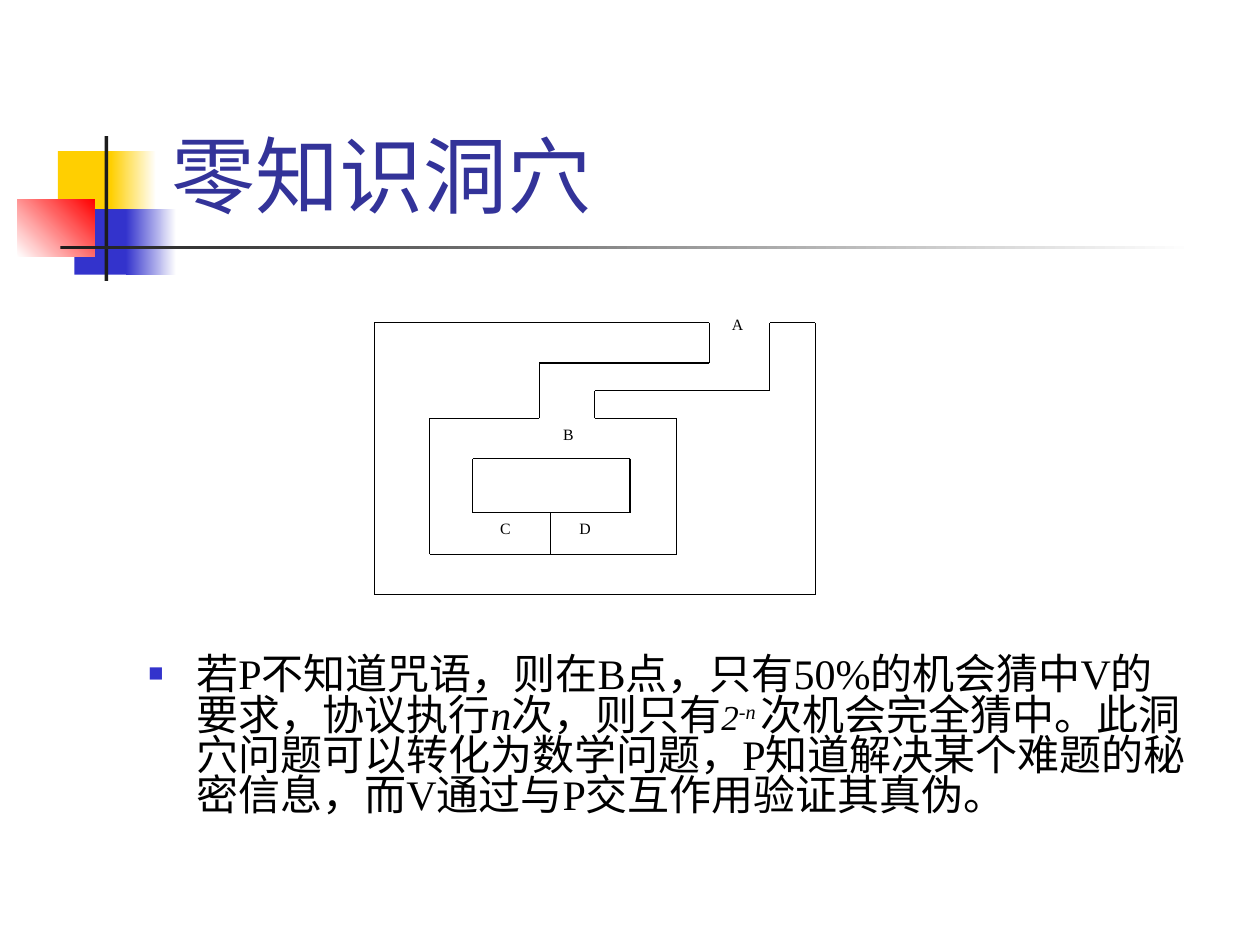
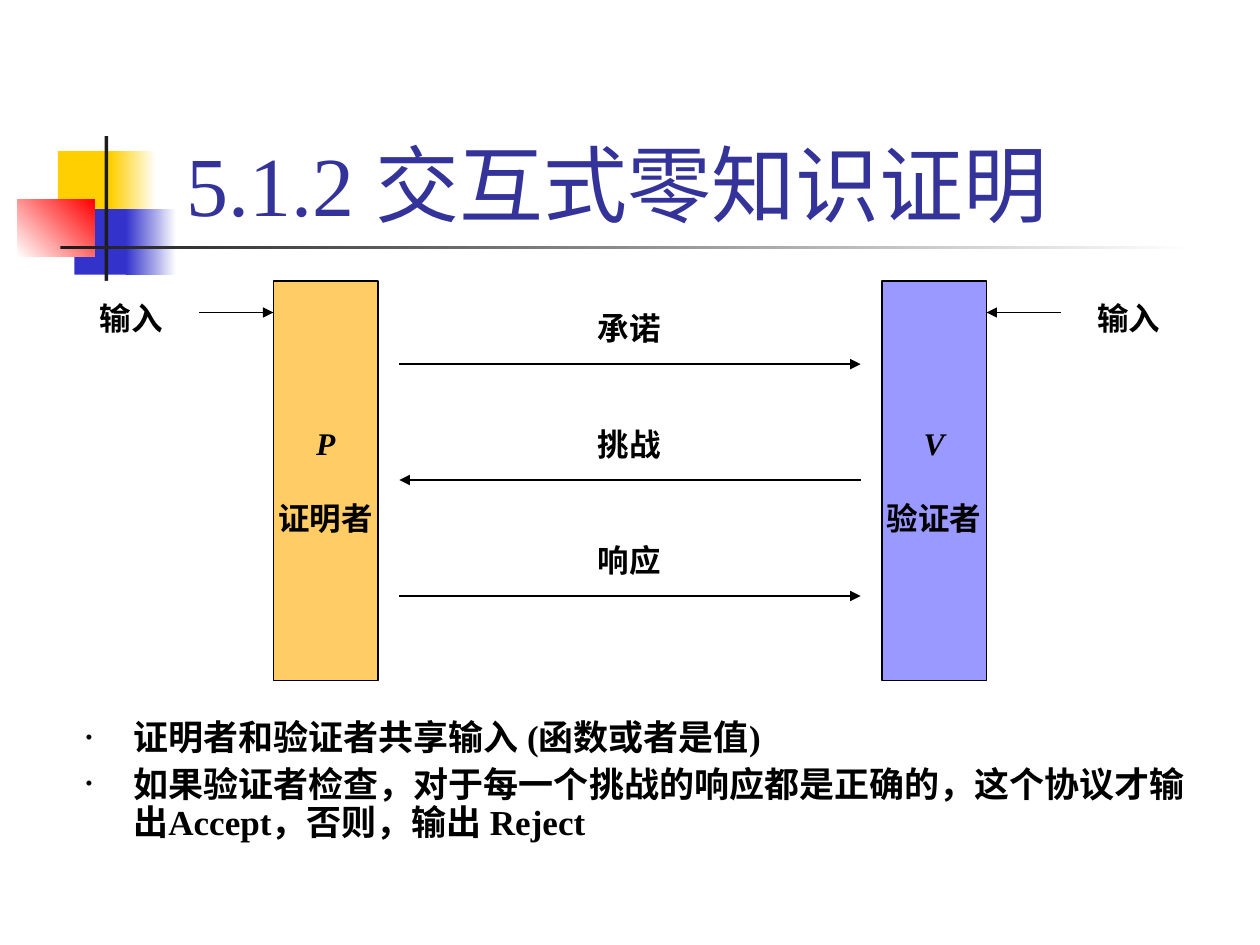
from dataclasses import dataclass
from itertools import pairwise

from lxml import etree
from pptx import Presentation
from pptx.dml.color import RGBColor
from pptx.enum.shapes import MSO_CONNECTOR, MSO_SHAPE
from pptx.enum.text import MSO_ANCHOR, PP_ALIGN
from pptx.oxml.ns import qn
from pptx.util import Emu, Pt

RECTANGLE = MSO_SHAPE.RECTANGLE
STRAIGHT = MSO_CONNECTOR.STRAIGHT
TOP, MIDDLE, BOTTOM = MSO_ANCHOR.TOP, MSO_ANCHOR.MIDDLE, MSO_ANCHOR.BOTTOM
CENTER, JUSTIFY = PP_ALIGN.CENTER, PP_ALIGN.JUSTIFY

EMU_PER_PX = 9144  # 100 px to the inch


@dataclass(frozen=True)
class Theme:
    white: str = "FFFFFF"
    ink: str = "000000"
    title: str = "333399"
    yellow: str = "FFCF01"
    blue: str = "3333CC"
    red: str = "FF0000"
    rule: str = "1C1C1C"
    prover: str = "FFCC66"
    verifier: str = "9999FF"
    title_font: str = "Karla"
    body_font: str = "Times New Roman"
    title_size: int = 48
    body_size: int = 24
    power_size: int = 20
    rules_size: int = 20
    label_size: int = 18
    mark_size: int = 9
    line_width: float = 0.75


THEME = Theme()


def px(length):
    return Emu(length * EMU_PER_PX)


def rgb(code):
    return RGBColor.from_string(code)


def style_run(run, size, color=THEME.ink, font=THEME.body_font, bold=False, italic=False):
    run.font.size = Pt(size)
    run.font.name = font
    run.font.color.rgb = rgb(color)
    run.font.bold = bold
    run.font.italic = italic


def add_box(shapes, box, fill=None, line=None):
    """Rectangle with a plain fill, a (start, end, angle) gradient, or none."""
    rect = shapes.add_shape(RECTANGLE, *map(px, box))
    rect.shadow.inherit = False
    if fill is None:
        rect.fill.background()
    elif isinstance(fill, str):
        rect.fill.solid()
        rect.fill.fore_color.rgb = rgb(fill)
    else:
        *ends, angle = fill
        rect.fill.gradient()
        rect.fill.gradient_angle = angle
        for stop, color in zip(rect.fill.gradient_stops, ends):
            stop.color.rgb = rgb(color)
    if line:
        rect.line.color.rgb = rgb(line)
        rect.line.width = Pt(THEME.line_width)
    else:
        rect.line.fill.background()
    return rect


def add_line(shapes, start, end, arrow=False):
    line = shapes.add_connector(STRAIGHT, *map(px, (*start, *end)))
    line.line.color.rgb = rgb(THEME.ink)
    line.line.width = Pt(THEME.line_width)
    properties = line.element.spPr
    if arrow:
        etree.SubElement(properties.find(qn("a:ln")), qn("a:tailEnd"), type="triangle")
    etree.SubElement(properties, qn("a:effectLst"))


def add_label(shapes, box, text, fill=THEME.white):
    label = add_box(shapes, box, fill)
    frame = label.text_frame
    frame.word_wrap = False
    frame.vertical_anchor = MIDDLE
    frame.text = text
    for paragraph in frame.paragraphs:
        paragraph.alignment = CENTER
        style_run(paragraph.runs[0], THEME.label_size, bold=True)
    return label


def add_text_area(slide, box):
    frame = slide.shapes.add_textbox(*map(px, box)).text_frame
    frame.word_wrap = True
    return frame


def add_title(slide, box, text, font, anchor):
    frame = add_text_area(slide, box)
    frame.vertical_anchor = anchor
    frame.text = text
    style_run(frame.paragraphs[0].runs[0], THEME.title_size, THEME.title, font)


def set_bullet(paragraph, mark, color, line_spacing, space_before):
    paragraph.line_spacing = line_spacing
    paragraph.space_before = Pt(space_before)
    properties = paragraph._p.get_or_add_pPr()
    properties.set("marL", str(px(38)))
    properties.set("indent", str(-px(38)))
    bullet_color = etree.SubElement(properties, qn("a:buClr"))
    etree.SubElement(bullet_color, qn("a:srgbClr"), val=color)
    etree.SubElement(properties, qn("a:buSzPct"), val="60000")
    etree.SubElement(properties, qn("a:buFont"), typeface=THEME.body_font)
    etree.SubElement(properties, qn("a:buChar"), char=mark)


def add_slide(deck):
    """Blank slide with the coloured squares and crossing rules."""
    slide = deck.slides.add_slide(deck.slide_layouts[6])
    for box, fill in (
        ((46, 120, 48, 52), THEME.yellow),
        ((88, 120, 36, 52), (THEME.yellow, THEME.white, 0)),
        ((59, 166, 46, 52), THEME.blue),
        ((100, 166, 40, 52), (THEME.blue, THEME.white, 0)),
        ((14, 158, 61, 46), (THEME.white, THEME.red, 45)),
        ((83, 108, 3, 115), THEME.rule),
        ((48, 195, 900, 3), (THEME.rule, THEME.white, 0)),
    ):
        add_box(slide.shapes, box, fill)
    return slide


def draw_cave(slide, box):
    left, top, width, height = box
    cave = slide.shapes.add_group_shape().shapes
    for mark, x, y in (("A", 274, -11), ("B", 140, 76), ("C", 90, 151), ("D", 153, 151)):
        place = add_box(cave, (left + x, top + y, 29, 29), line=THEME.white)
        frame = place.text_frame
        frame.vertical_anchor = TOP
        frame.text = mark
        frame.paragraphs[0].alignment = JUSTIFY
        style_run(frame.paragraphs[0].runs[0], THEME.mark_size)

    outer_wall = [
        (0, height), (0, 0), (266, 0), (266, 32), (131, 32), (131, 76),
        (44, 76), (44, 184), (240, 184), (240, 76), (175, 76), (175, 54),
        (314, 54), (314, 0), (width, 0), (width, height), (0, height),
    ]
    inner_wall = [(78, 108), (203, 108), (203, 151), (78, 151), (78, 108)]
    door = [(140, 151), (140, 184)]
    for wall in (outer_wall, inner_wall, door):
        corners = [(left + x, top + y) for x, y in wall]
        for start, end in pairwise(corners):
            add_line(cave, start, end)


def write_cave_odds(slide, box):
    paragraph = add_text_area(slide, box).paragraphs[0]
    set_bullet(paragraph, "■", THEME.blue, 0.8, 6)
    for text, size, italic in (
        ("若P不知道咒语，则在B点，只有50%的机会猜中V的要求，协议执行", THEME.body_size, False),
        ("n", THEME.body_size, True),
        ("次，则只有", THEME.body_size, False),
        ("2", THEME.power_size, True),
        ("-n ", THEME.power_size, True),
        ("次机会完全猜中。此洞穴问题可以转化为数学问题，P知道解决某个难题的秘密信息，"
         "而V通过与P交互作用验证其真伪。", THEME.body_size, False),
    ):
        run = paragraph.add_run()
        run.text = text
        style_run(run, size, italic=italic)
    exponent = paragraph.runs[4]
    exponent.font._element.set("baseline", "30000")


def draw_party(slide, box, symbol, role, fill):
    party = add_label(slide.shapes, box, f"{symbol}\n{role}", fill)
    party.line.color.rgb = rgb(THEME.ink)
    party.line.width = Pt(THEME.line_width)
    symbol_line, role_line = party.text_frame.paragraphs
    symbol_line.runs[0].font.italic = True
    role_line.space_before = Pt(21)


def draw_protocol(slide, box):
    left, top, width, height = box
    right = left + width
    party_width, input_width, input_gap = 83, 108, 59
    inset = input_width + input_gap
    prover_left = left + inset
    verifier_right = right - inset
    draw_party(slide, (prover_left, top, party_width, height), "P", "证明者", THEME.prover)
    draw_party(slide, (verifier_right - party_width, top, party_width, height),
               "V", "验证者", THEME.verifier)

    near_prover = prover_left + party_width + 17
    near_verifier = verifier_right - party_width - 17
    for step, message in enumerate(("承诺", "挑战", "响应")):
        row = top + 16 + 92 * step
        add_label(slide.shapes, (near_prover + 16, row, 333, 42), message)
        ends = [(near_prover, row + 50), (near_verifier, row + 50)]
        if step % 2:
            ends.reverse()
        add_line(slide.shapes, *ends, arrow=True)

    for label_left, start, end in (
        (left, left + input_width, prover_left),
        (right - input_width, right - input_width, verifier_right),
    ):
        add_label(slide.shapes, (label_left, top, input_width, 58), "输入")
        add_line(slide.shapes, (start, top + 25), (end, top + 25), arrow=True)


def write_protocol_rules(slide, box):
    frame = add_text_area(slide, box)
    frame.text = (
        "证明者和验证者共享输入 (函数或者是值)\n"
        "如果验证者检查，对于每一个挑战的响应都是正确的，这个协议才输出Accept，否则，输出 Reject"
    )
    for paragraph in frame.paragraphs:
        set_bullet(paragraph, "•", THEME.ink, 0.9, 5)
        style_run(paragraph.runs[0], THEME.rules_size, bold=True)


def build_cave_slide(deck):
    slide = add_slide(deck)
    add_title(slide, (126, 23, 852, 160), "零知识洞穴", THEME.title_font, BOTTOM)
    write_cave_odds(slide, (108, 517, 850, 154))
    draw_cave(slide, (297, 256, 350, 216))


def build_protocol_slide(deck):
    slide = add_slide(deck)
    add_title(slide, (138, 100, 800, 90), "5.1.2 交互式零知识证明", THEME.body_font, TOP)
    write_protocol_rules(slide, (58, 567, 917, 146))
    draw_protocol(slide, (50, 223, 900, 317))


def main():
    deck = Presentation()
    deck.slide_width, deck.slide_height = px(1000), px(750)
    build_cave_slide(deck)
    build_protocol_slide(deck)
    deck.save("out.pptx")


if __name__ == "__main__":
    main()
